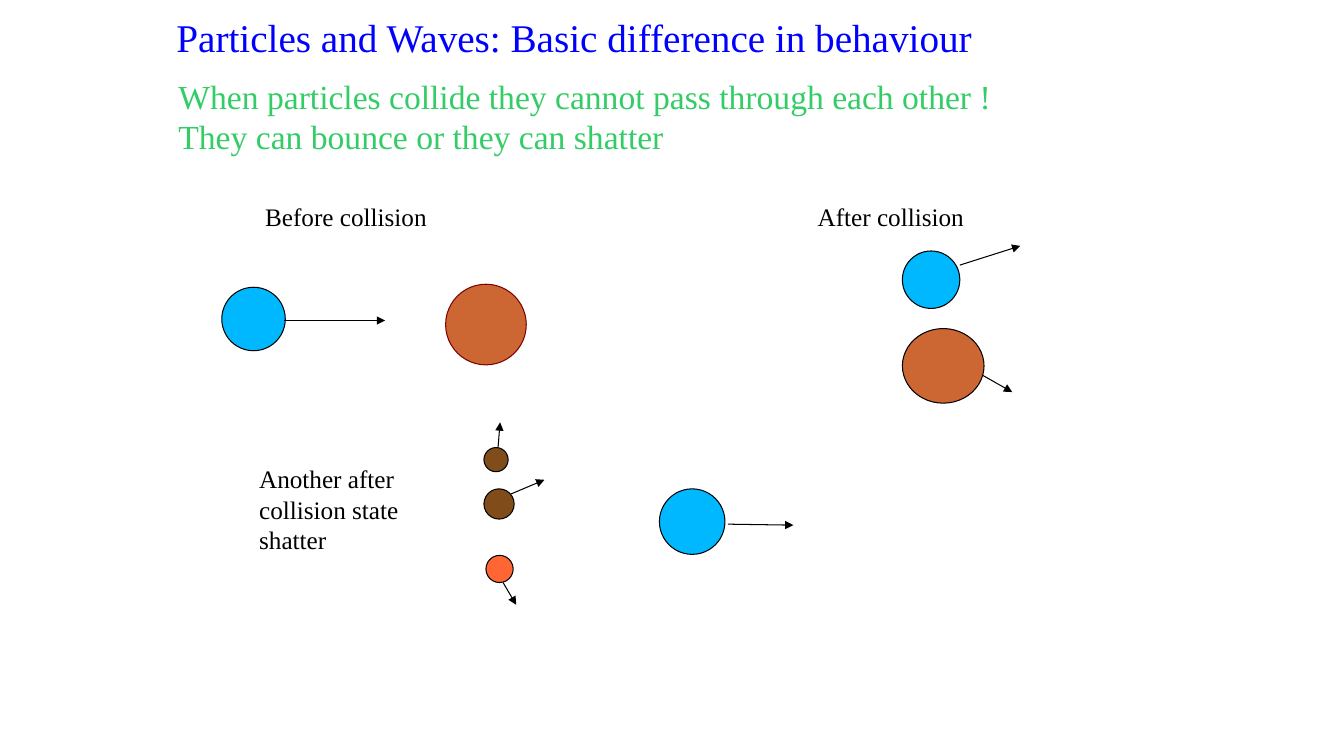
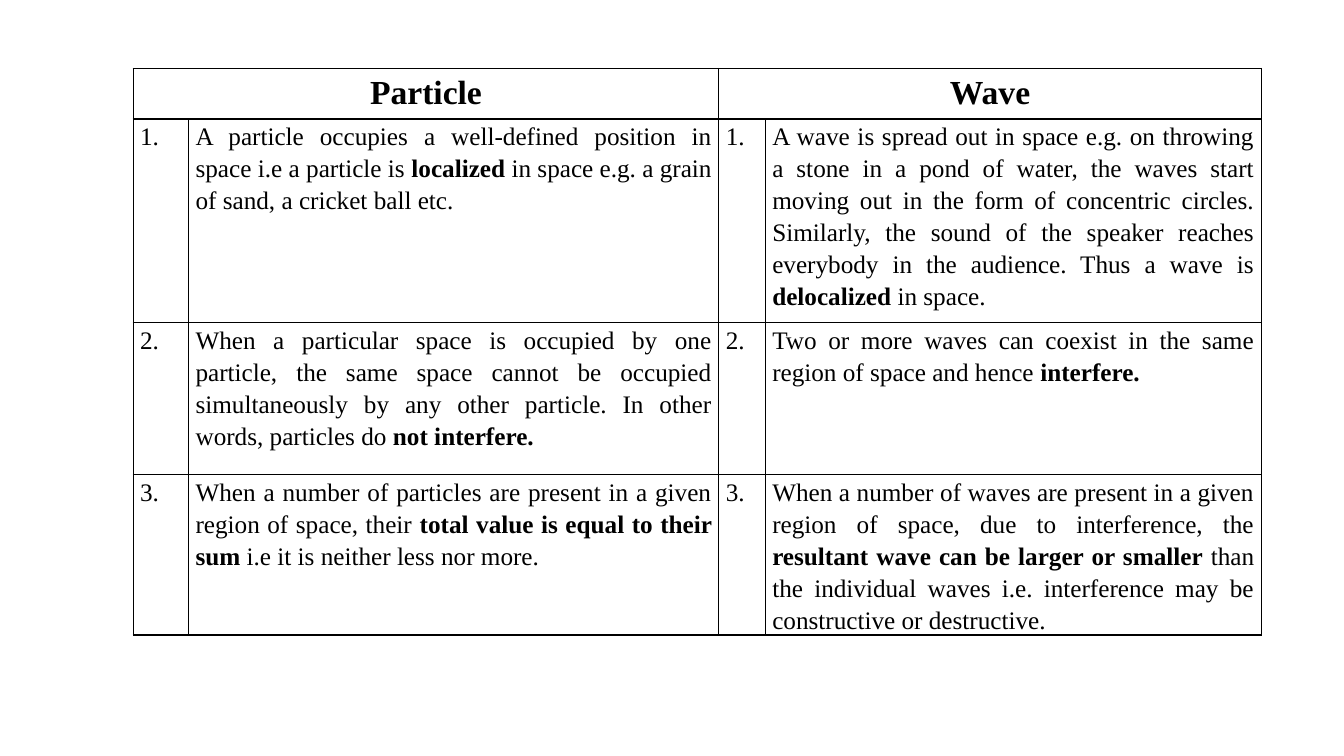
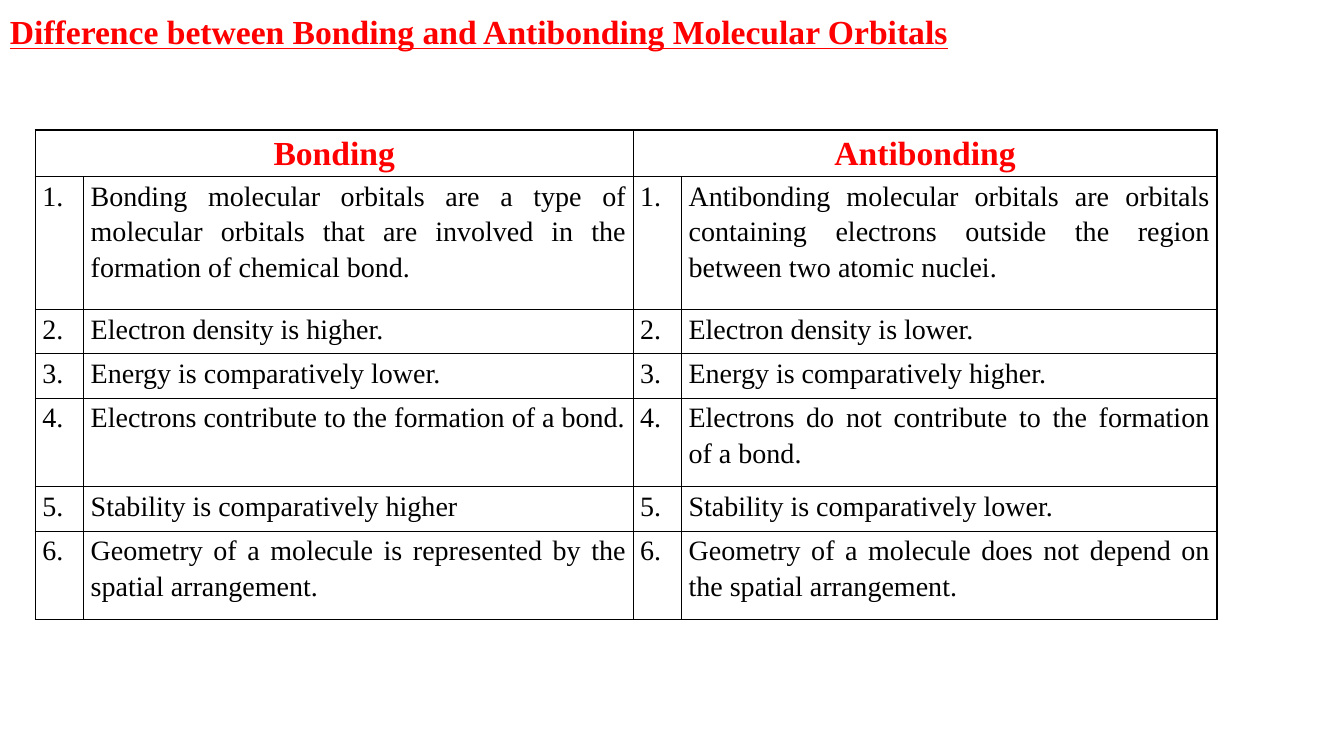
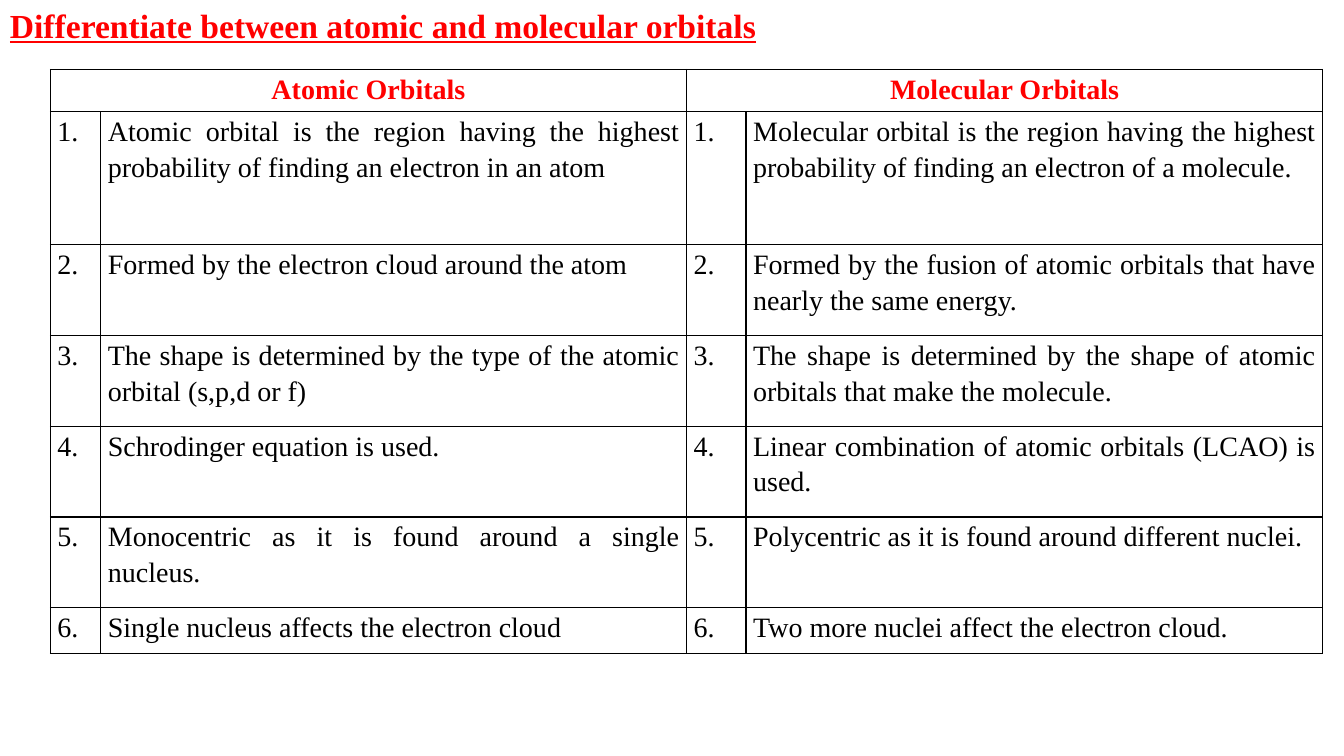
from dataclasses import dataclass
from typing import Any, NamedTuple

from lxml import etree
from pptx import Presentation
from pptx.dml.color import RGBColor
from pptx.enum import shapes, text
from pptx.oxml import ns
from pptx.util import Emu, Pt

EMU_PER_PX = 9144


@dataclass(frozen=True)
class Theme:
    font: str = "Times New Roman"
    black: str = "000000"
    blue: str = "0000FF"
    green: str = "33CC66"
    red: str = "FF0000"
    sky: str = "00B8FF"
    copper: str = "CC6633"
    maroon: str = "800000"
    brown: str = "804C19"
    orange: str = "FF6633"
    headline: int = 28
    heading: int = 24
    body: int = 20
    label: int = 18
    outline: float = 0.75
    border: float = 1
    cell_inset: int = 7
    line_spacing: float = 1.15


THEME = Theme()


class Label(NamedTuple):
    left: int
    top: int
    width: int
    height: int
    lines: tuple[str, ...]
    size: int = THEME.label
    color: str = THEME.black


class Ball(NamedTuple):
    left: int
    top: int
    width: int
    height: int
    fill: str
    line: str = THEME.black


class Arrow(NamedTuple):
    from_x: int
    from_y: int
    to_x: int
    to_y: int


class Heading(NamedTuple):
    top: int
    width: int
    words: str


@dataclass(frozen=True)
class Comparison:
    left: int
    top: int
    columns: tuple[int, ...]
    rows: tuple[int, ...]
    heads: tuple[str, str]
    pairs: tuple[tuple[str, str], ...]
    head_size: int = THEME.heading
    head_color: str = THEME.red
    body_size: int = THEME.body
    heading: Heading | None = None


LABELS = (
    Label(175, 13, 837, 47, ("Particles and Waves: Basic difference in behaviour",),
          THEME.headline, THEME.blue),
    Label(177, 75, 874, 81, ("When particles collide they cannot pass through each other !",
                             "They can bounce or they can shatter"),
          THEME.heading, THEME.green),
    Label(263, 200, 172, 30, ("Before collision",)),
    Label(811, 200, 151, 30, ("After collision",)),
    Label(257, 460, 148, 91, ("Another after", "collision state", "shatter")),
)

BALLS = (
    Ball(220, 285, 63, 63, THEME.sky),
    Ball(442, 282, 80, 80, THEME.copper, THEME.maroon),
    Ball(895, 249, 57, 57, THEME.sky),
    Ball(895, 326, 81, 74, THEME.copper),
    Ball(654, 485, 65, 65, THEME.sky),
    Ball(480, 444, 24, 24, THEME.brown),
    Ball(480, 485, 30, 30, THEME.brown),
    Ball(482, 551, 27, 27, THEME.orange),
)

ARROWS = (
    Arrow(282, 318, 382, 318),
    Arrow(952, 263, 1012, 244),
    Arrow(974, 372, 1004, 389),
    Arrow(494, 444, 496, 419),
    Arrow(507, 490, 540, 476),
    Arrow(499, 578, 512, 600),
    Arrow(722, 520, 787, 521),
)

COMPARISONS = (
    Comparison(
        132, 68, (55, 526, 46, 492), (50, 202, 151, 151), ("Particle", "Wave"),
        (
            ("A particle occupies a well-defined position in space i.e a particle is "
             "*localized* in space e.g. a grain of sand, a cricket ball etc.",
             "A wave is spread out in space e.g. on throwing a stone in a pond of water, "
             "the waves start moving out in the form of concentric circles. Similarly, "
             "the sound of the speaker reaches everybody in the audience. Thus a wave is "
             "*delocalized* in space."),
            ("When a particular space is occupied by one particle, the same space cannot "
             "be occupied simultaneously by any other particle. In other words, particles "
             "do *not interfere.*",
             "Two or more waves can coexist in the same region of space and hence "
             "*interfere.*"),
            ("When a number of particles are present in a given region of space, their "
             "*total value is equal to their sum *i.e it is neither less nor more.",
             "When a number of waves are present in a given region of space, due to "
             "interference, the *resultant wave can be larger or smaller *than the "
             "individual waves i.e. interference may be constructive or destructive."),
        ),
        head_color=THEME.black, body_size=THEME.label,
    ),
    Comparison(
        35, 129, (48, 545, 48, 531), (44, 132, 44, 44, 88, 44, 88),
        ("Bonding", "Antibonding"),
        (
            ("Bonding molecular orbitals are a type of molecular orbitals that are "
             "involved in the formation of chemical bond.",
             "Antibonding molecular orbitals are orbitals containing electrons outside "
             "the region between two atomic nuclei."),
            ("Electron density is higher.", "Electron density is lower."),
            ("Energy is comparatively lower.", "Energy is comparatively higher."),
            ("Electrons contribute to the formation of a bond.",
             "Electrons do not contribute to the formation of a bond."),
            ("Stability is comparatively higher", "Stability is comparatively lower."),
            ("Geometry of a molecule is represented by the spatial arrangement.",
             "Geometry of a molecule does not depend on the spatial arrangement."),
        ),
        heading=Heading(6, 959, "Difference between Bonding and Antibonding Molecular Orbitals"),
    ),
    Comparison(
        50, 69, (50, 581, 59, 572), (42, 132, 90, 90, 90, 90, 45),
        ("Atomic Orbitals", "Molecular Orbitals"),
        (
            ("Atomic orbital is the region having the highest probability of finding an "
             "electron in an atom",
             "Molecular orbital is the region having the highest probability of finding "
             "an electron of a molecule."),
            ("Formed by the electron cloud around the atom",
             "Formed by the fusion of atomic orbitals that have nearly the same energy."),
            ("The shape is determined by the type of the atomic orbital (s,p,d or f)",
             "The shape is determined by the shape of atomic orbitals that make the "
             "molecule."),
            ("Schrodinger equation is used.",
             "Linear combination of atomic orbitals (LCAO) is used."),
            ("Monocentric as it is found around a single nucleus.",
             "Polycentric as it is found around different nuclei."),
            ("Single nucleus affects the electron cloud",
             "Two more nuclei affect the electron cloud."),
        ),
        head_size=THEME.body,
        heading=Heading(0, 767, "Differentiate between atomic and molecular orbitals"),
    ),
)


def px(*lengths: int) -> list[Emu]:
    return [Emu(length * EMU_PER_PX) for length in lengths]


def assign(target: Any, values: dict[str, Any]) -> None:
    for name, value in values.items():
        setattr(target, name, value)


def write(para: Any, words: str, size: int, color: str, **extra: Any) -> None:
    for index, part in enumerate(words.split("*")):
        if not part:
            continue
        span = para.add_run()
        span.text = part
        assign(span.font, {"name": THEME.font, "size": Pt(size), "bold": index % 2 == 1} | extra)
        span.font.color.rgb = RGBColor.from_string(color)


def add_box(page: Any, left: int, top: int, width: int, height: int, frame_format: dict[str, Any]) -> Any:
    frame = page.shapes.add_textbox(*px(left, top, width, height)).text_frame
    assign(frame, {"word_wrap": False, "auto_size": text.MSO_AUTO_SIZE.SHAPE_TO_FIT_TEXT} | frame_format)
    return frame


def add_label(page: Any, label: Label) -> None:
    margins = {f"margin_{side}": 0 for side in ("left", "top", "right", "bottom")}
    frame = add_box(page, *label[:4], margins)
    for index, line in enumerate(label.lines):
        para = frame.add_paragraph() if index else frame.paragraphs[0]
        write(para, line, label.size, label.color)


def add_heading(page: Any, heading: Heading) -> None:
    frame = add_box(page, 0, heading.top, heading.width, 50,
                    {"vertical_anchor": text.MSO_ANCHOR.MIDDLE})
    write(frame.paragraphs[0], heading.words, THEME.heading, THEME.red, bold=True, underline=True)


def set_line(line: Any, color: str) -> None:
    line.color.rgb = RGBColor.from_string(color)
    line.width = Pt(THEME.outline)


def add_ball(page: Any, ball: Ball) -> None:
    shape = page.shapes.add_shape(shapes.MSO_SHAPE.OVAL, *px(*ball[:4]))
    shape.shadow.inherit = False
    shape.fill.solid()
    shape.fill.fore_color.rgb = RGBColor.from_string(ball.fill)
    set_line(shape.line, ball.line)


def add_arrow(page: Any, arrow: Arrow) -> None:
    connector = page.shapes.add_connector(shapes.MSO_CONNECTOR.STRAIGHT, *px(*arrow))
    set_line(connector.line, THEME.black)
    outline = connector.line._get_or_add_ln()
    etree.SubElement(outline, ns.qn("a:tailEnd"), type="triangle")
    etree.SubElement(connector._element.spPr, ns.qn("a:effectLst"))


def style_cell(cell: Any) -> None:
    properties = cell._tc.get_or_add_tcPr()
    for side in ("lnL", "lnR", "lnT", "lnB"):
        border = etree.SubElement(properties, ns.qn(f"a:{side}"), w=str(Pt(THEME.border)))
        fill = etree.SubElement(border, ns.qn("a:solidFill"))
        etree.SubElement(fill, ns.qn("a:srgbClr"), val=THEME.black)
    cell.fill.background()
    inset, = px(THEME.cell_inset)
    assign(cell, {"margin_left": inset, "margin_right": inset, "margin_top": 0, "margin_bottom": 0})


def fill_cell(cell: Any, words: str, align: Any, size: int, color: str, **extra: Any) -> None:
    para = cell.text_frame.paragraphs[0]
    assign(para, {"alignment": align, "line_spacing": THEME.line_spacing})
    write(para, words, size, color, **extra)


def add_comparison(page: Any, comparison: Comparison) -> None:
    columns, rows = comparison.columns, comparison.rows
    grid = page.shapes.add_table(
        len(rows), len(columns),
        *px(comparison.left, comparison.top, sum(columns), sum(rows))).table
    assign(grid, {"first_row": False, "horz_banding": False})
    for column, width in zip(grid.columns, px(*columns)):
        column.width = width
    for row, height in zip(grid.rows, px(*rows)):
        row.height = height
    for cell in grid.iter_cells():
        style_cell(cell)
    for side, head in enumerate(comparison.heads):
        first = 2 * side
        grid.cell(0, first).merge(grid.cell(0, first + 1))
        fill_cell(grid.cell(0, first), head, text.PP_ALIGN.CENTER,
                  comparison.head_size, comparison.head_color, bold=True)
        for number, pair in enumerate(comparison.pairs, 1):
            for offset, words in enumerate((f"{number}.", pair[side])):
                fill_cell(grid.cell(number, first + offset), words, text.PP_ALIGN.JUSTIFY,
                          comparison.body_size, THEME.black)


def main() -> None:
    deck = Presentation()
    deck.slide_width, deck.slide_height = px(1333, 750)
    blank = deck.slide_layouts[6]
    page = deck.slides.add_slide(blank)
    for label in LABELS:
        add_label(page, label)
    for ball in BALLS:
        add_ball(page, ball)
    for arrow in ARROWS:
        add_arrow(page, arrow)
    for comparison in COMPARISONS:
        page = deck.slides.add_slide(blank)
        if comparison.heading:
            add_heading(page, comparison.heading)
        add_comparison(page, comparison)
    deck.save("out.pptx")


if __name__ == "__main__":
    main()
